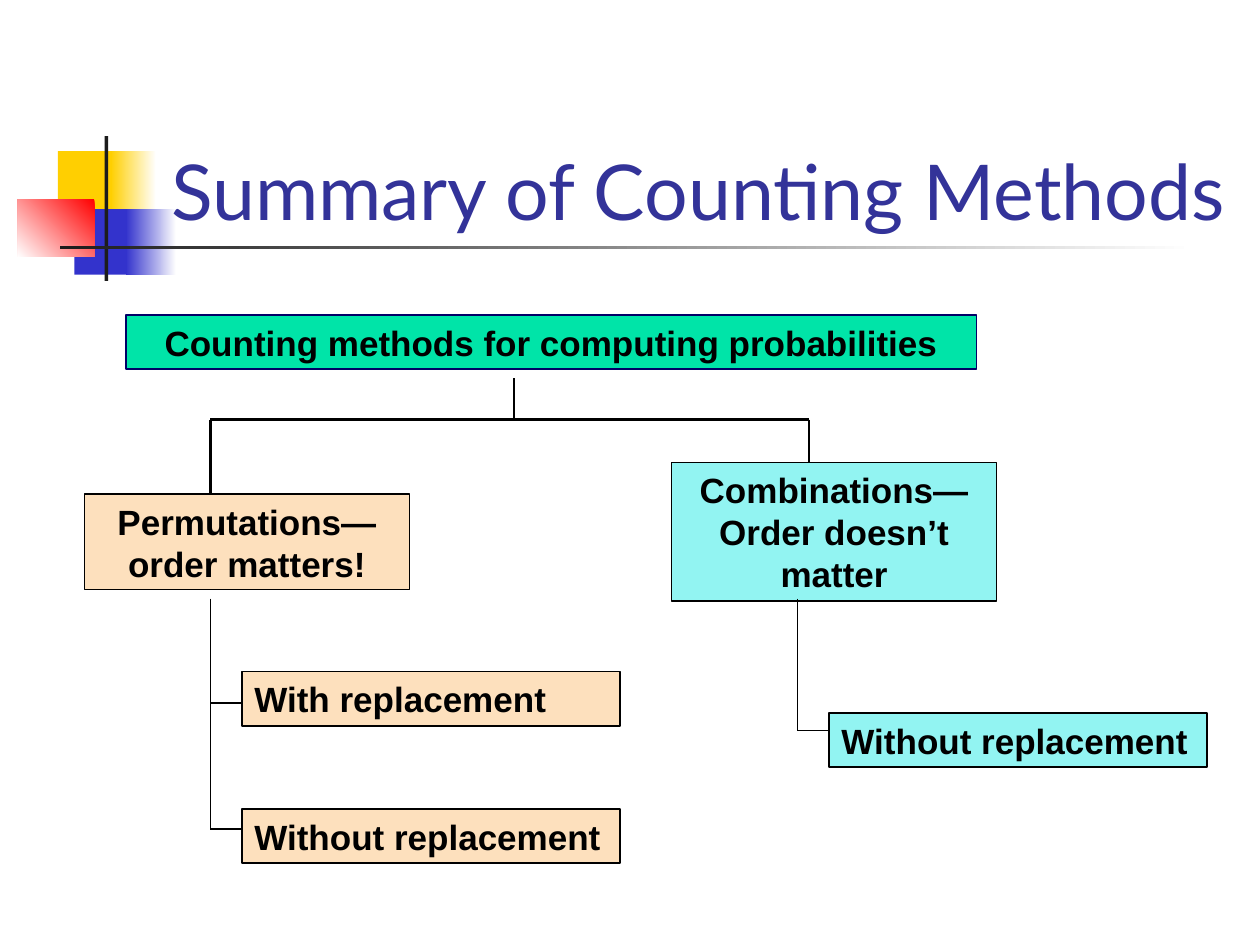
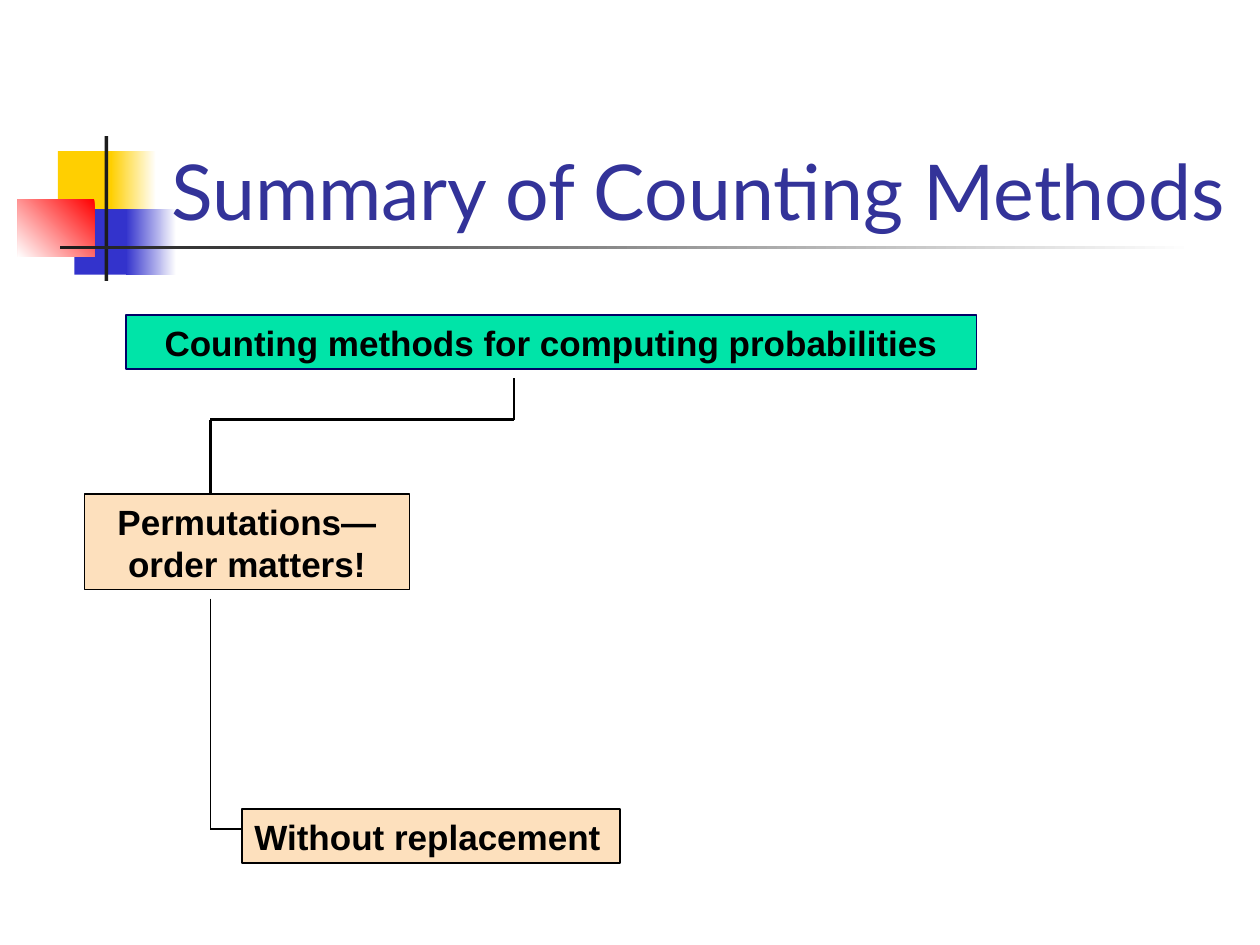
import pptx
import pptx.dml.color
import pptx.enum.shapes
import pptx.enum.text
import pptx.oxml
import pptx.util

Inches = pptx.util.Inches
Pt = pptx.util.Pt
RECTANGLE = pptx.enum.shapes.MSO_SHAPE.RECTANGLE
STRAIGHT = pptx.enum.shapes.MSO_CONNECTOR.STRAIGHT
ANCHOR = pptx.enum.text.MSO_ANCHOR
AUTO_SIZE = pptx.enum.text.MSO_AUTO_SIZE
ALIGN = pptx.enum.text.PP_ALIGN

WHITE, BLACK, CHARCOAL = "FFFFFF", "000000", "1C1C1C"
YELLOW, BLUE, RED = "FFCF01", "3333CC", "FF0000"
TITLE_BLUE, NAVY, GREEN = "333399", "000066", "00E4A8"
PEACH, AQUA = "FDE0BD", "92F4F2"

FORK_Y = 3.33
ROOT_X = 4.08
PERMUTATIONS_X = 1.67
COMBINATIONS_X = 6.42
BRANCH_Y = 4.75
TWIG = 0.25
THICK, THIN = 1.5, 0.75


def rgb(hex_colour):
    return pptx.dml.color.RGBColor.from_string(hex_colour)


def write_text(frame, text, size=20, font="Arial", colour=BLACK, bold=True,
               align=ALIGN.LEFT, anchor=ANCHOR.TOP, space_before=12.5,
               line_spacing=None, auto_size=AUTO_SIZE.SHAPE_TO_FIT_TEXT):
    frame.word_wrap = True
    frame.auto_size = auto_size
    frame.vertical_anchor = anchor
    for index, line in enumerate(text.split("\n")):
        paragraph = frame.add_paragraph() if index else frame.paragraphs[0]
        paragraph.alignment = align
        paragraph.space_before = Pt(0 if index else space_before)
        if line_spacing:
            paragraph.line_spacing = line_spacing
        run = paragraph.add_run()
        run.text = line
        run.font.name = font
        run.font.size = Pt(size)
        run.font.bold = bold
        run.font.color.rgb = rgb(colour)


def add_rectangle(slide, left, top, width, height):
    rectangle = slide.shapes.add_shape(
        RECTANGLE, Inches(left), Inches(top), Inches(width), Inches(height))
    rectangle.shadow.inherit = False
    rectangle.line.fill.background()
    return rectangle


def add_block(slide, place, colour):
    block = add_rectangle(slide, *place)
    block.fill.solid()
    block.fill.fore_color.rgb = rgb(colour)
    return block


def add_fade(slide, place, start, end, angle=180):
    fade = add_rectangle(slide, *place)
    fade.fill.gradient()
    fade.fill.gradient_angle = angle
    for stop, colour in zip(fade.fill.gradient_stops, (start, end)):
        stop.color.rgb = rgb(colour)


def add_box(slide, text, place, fill, outline=BLACK, align=ALIGN.LEFT):
    box = add_block(slide, place, fill)
    box.line.color.rgb = rgb(outline)
    box.line.width = Pt(1)
    write_text(box.text_frame, text, align=align)


def add_line(slide, x1, y1, x2, y2, weight):
    line = slide.shapes.add_connector(
        STRAIGHT, Inches(x1), Inches(y1), Inches(x2), Inches(y2))
    line.line.color.rgb = rgb(BLACK)
    line.line.width = Pt(weight)
    properties = line._element.spPr
    properties.append(properties.makeelement(
        pptx.oxml.ns.qn("a:effectLst"), {}))


def add_header(slide, text):
    add_block(slide, (0.46, 1.2, 0.48, 0.52), YELLOW)
    add_fade(slide, (0.88, 1.2, 0.36, 0.52), WHITE, YELLOW)
    add_block(slide, (0.59, 1.66, 0.46, 0.52), BLUE)
    add_fade(slide, (1, 1.66, 0.4, 0.52), WHITE, BLUE)
    add_fade(slide, (0.14, 1.58, 0.61, 0.46), RED, WHITE, angle=225)
    add_block(slide, (0.83, 1.08, 0.03, 1.15), CHARCOAL)
    add_fade(slide, (0.48, 1.95, 9, 0.03), WHITE, CHARCOAL)
    title = slide.shapes.add_textbox(
        Inches(1.26), Inches(0.67), Inches(8.99), Inches(1.25))
    write_text(title.text_frame, text, size=44, font="Lato",
               colour=TITLE_BLUE, bold=False, anchor=ANCHOR.BOTTOM,
               space_before=0, line_spacing=1.1, auto_size=AUTO_SIZE.NONE)


def add_fork(slide, right_end):
    add_line(slide, ROOT_X, 3, ROOT_X, FORK_Y, THICK)
    add_line(slide, PERMUTATIONS_X, FORK_Y, right_end, FORK_Y, THICK)


def add_method(slide, text, place, drop_x, fill):
    add_line(slide, drop_x, FORK_Y, drop_x, place[1], THICK)
    add_box(slide, text, place, fill, align=ALIGN.CENTER)


def add_cases(slide, stem_x, cases, fill):
    add_line(slide, stem_x, BRANCH_Y, stem_x, cases[-1][2], THIN)
    for text, top, twig_y in cases:
        add_line(slide, stem_x, twig_y, stem_x + TWIG, twig_y, THIN)
        add_box(slide, text, (stem_x + TWIG, top, 3, 0.43), fill)


def add_counting_slide(deck, permutation_cases, fork_end):
    slide = deck.slides.add_slide(deck.slide_layouts[6])
    add_header(slide, "Summary of Counting Methods")
    add_box(slide, "Counting methods for computing probabilities",
            (1, 2.5, 6.75, 0.43), GREEN, outline=NAVY, align=ALIGN.CENTER)
    add_fork(slide, fork_end)
    add_method(slide, "Permutations—order matters!",
               (0.67, 3.92, 2.58, 0.76), PERMUTATIONS_X, PEACH)
    add_cases(slide, PERMUTATIONS_X, permutation_cases, PEACH)
    return slide


def add_combinations(slide):
    add_method(slide, "Combinations—\nOrder doesn’t matter",
               (5.33, 3.67, 2.58, 1.1), COMBINATIONS_X, AQUA)
    add_cases(slide, 6.33, [("Without replacement", 5.66, 5.8)], AQUA)


def main():
    deck = pptx.Presentation()
    deck.slide_width = Inches(10)
    deck.slide_height = Inches(7.5)
    with_replacement = ("With replacement", 5.33, 5.58)
    without_replacement = ("Without replacement", 6.42, 6.58)

    overview = add_counting_slide(
        deck, [with_replacement, without_replacement], COMBINATIONS_X)
    add_combinations(overview)
    add_counting_slide(deck, [without_replacement], ROOT_X)
    deck.save("out.pptx")


if __name__ == "__main__":
    main()
